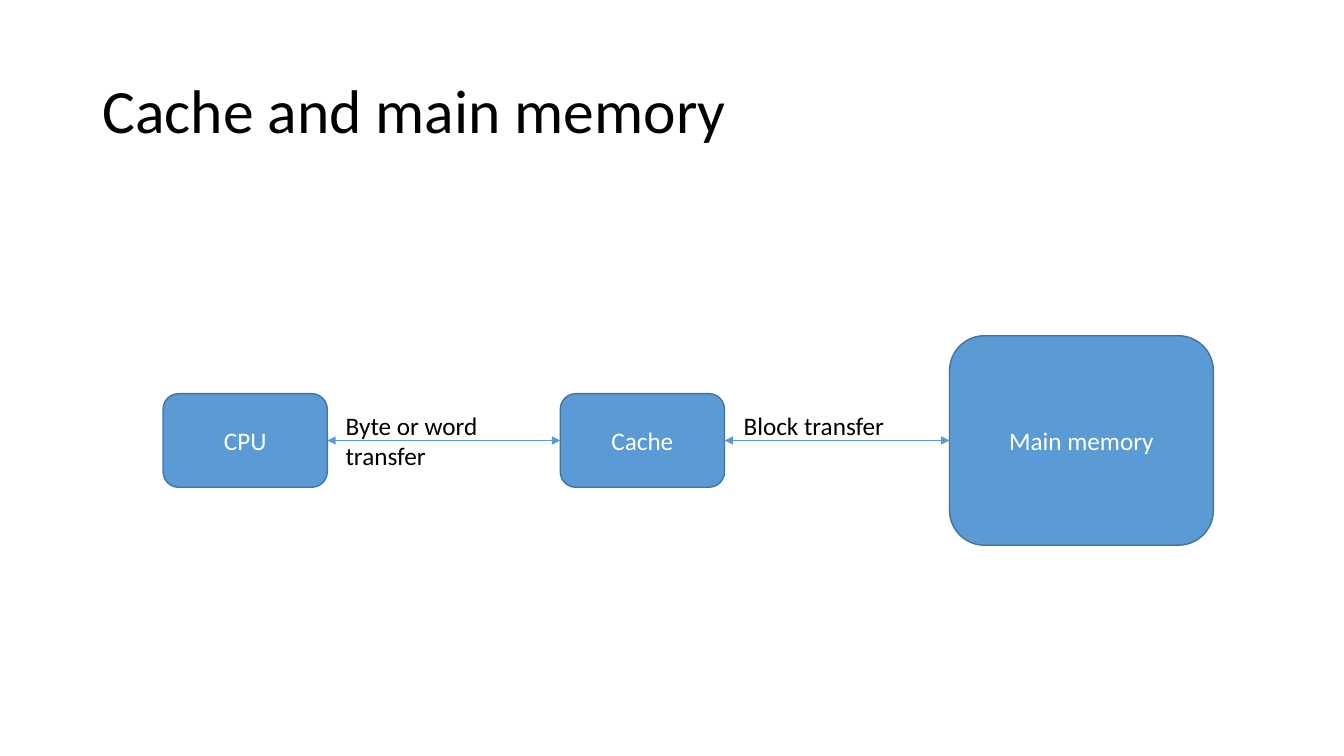
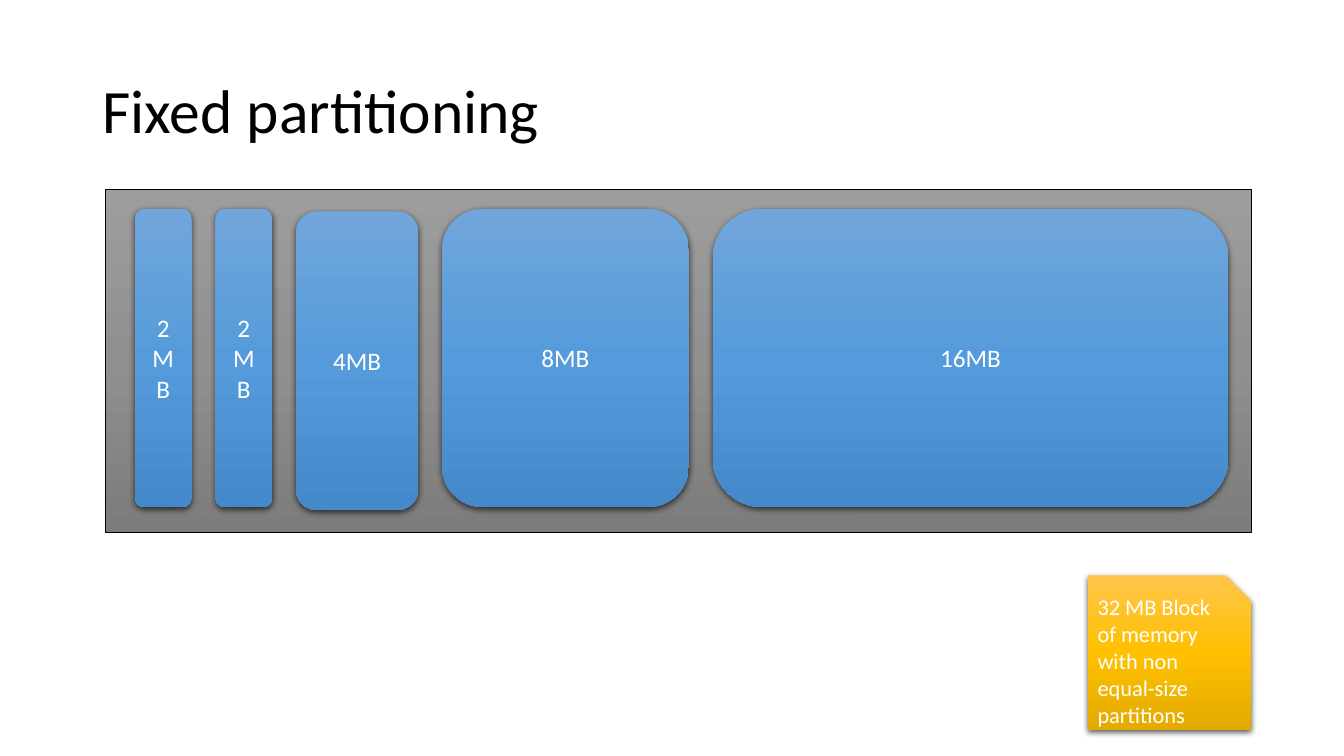
"""Build two slides on memory: cache transfers and fixed partitioning."""
import copy

import lxml.etree
import pptx
import pptx.dml.color
import pptx.enum.shapes
import pptx.enum.text
import pptx.oxml.ns
import pptx.util

Cm = pptx.util.Cm
Pt = pptx.util.Pt
SHAPE = pptx.enum.shapes.MSO_SHAPE
ALIGN = pptx.enum.text.PP_ALIGN
ANCHOR = pptx.enum.text.MSO_ANCHOR
qn = pptx.oxml.ns.qn

FONT = "Calibri"
COLORS = {
    "text": "000000",
    "light": "FFFFFF",
    "blue": "5B9BD5",
    "blue_edge": "43739E",
    "panel_edge": "000000",
    "shadow": "000000",
}
GRADIENTS = {
    "gray": ("9D9D9D", "909090", "7C7C7C"),
    "blue": ("71A6DB", "559BDB", "448ACA"),
    "gold": ("FFC64B", "FFC000", "E3AB00"),
}


def rgb(value):
    return pptx.dml.color.RGBColor.from_string(value)


def write(shape, text, *, size=18, color="text", align=ALIGN.LEFT,
          anchor=ANCHOR.MIDDLE, spacing=None):
    frame = shape.text_frame
    frame.word_wrap = True
    frame.vertical_anchor = anchor
    paragraph = frame.paragraphs[0]
    paragraph.alignment = align
    paragraph.line_spacing = spacing
    run = paragraph.add_run()
    run.text = text
    run.font.name = FONT
    run.font.size = Pt(size)
    run.font.color.rgb = rgb(COLORS[color])


def add_titled_slide(deck, text):
    slide = deck.slides.add_slide(deck.slide_layouts[5])
    title = slide.shapes.title
    title.left, title.top = Cm(2.33), Cm(1.01)
    title.width, title.height = Cm(29.21), Cm(3.68)
    write(title, text, size=44, spacing=0.9)
    return slide


def add_box(slide, kind, left, top, width, height):
    box = slide.shapes.add_shape(kind, Cm(left), Cm(top), Cm(width), Cm(height))
    box.shadow.inherit = False
    return box


def set_outline(shape, color, width):
    shape.line.color.rgb = rgb(COLORS[color])
    shape.line.width = Pt(width)


def set_gradient(shape, name):
    shape.fill.gradient()
    shape.fill.gradient_angle = 270
    stop_list = shape.element.spPr.find(qn("a:gradFill")).find(qn("a:gsLst"))
    stop_list.insert(1, copy.deepcopy(stop_list[0]))
    for stop, position, color in zip(shape.fill.gradient_stops, (0, 0.5, 1), GRADIENTS[name]):
        stop.position = position
        stop.color.rgb = rgb(color)


def add_shadow(shape):
    effects = shape.element.spPr.find(qn("a:effectLst"))
    shadow = lxml.etree.SubElement(
        effects, qn("a:outerShdw"), blurRad=str(Pt(4.5)), dist=str(Pt(1.5)),
        dir="5400000", algn="ctr", rotWithShape="0")
    color = lxml.etree.SubElement(shadow, qn("a:srgbClr"), val=COLORS["shadow"])
    lxml.etree.SubElement(color, qn("a:alpha"), val="63000")


def add_raised_box(slide, kind, left, top, width, height, gradient):
    box = add_box(slide, kind, left, top, width, height)
    set_gradient(box, gradient)
    box.line.fill.background()
    add_shadow(box)
    return box


def add_unit(slide, text, left, middle, width, height):
    unit = add_box(slide, SHAPE.ROUNDED_RECTANGLE, left, middle - height / 2, width, height)
    unit.fill.solid()
    unit.fill.fore_color.rgb = rgb(COLORS["blue"])
    set_outline(unit, "blue_edge", 1)
    write(unit, text, color="light", align=ALIGN.CENTER)
    return unit


def add_transfer_arrow(slide, source, target):
    arrow = slide.shapes.add_connector(pptx.enum.shapes.MSO_CONNECTOR.STRAIGHT, 0, 0, 0, 0)
    arrow.begin_connect(source, 3)
    arrow.end_connect(target, 1)
    set_outline(arrow, "blue", 0.5)
    properties = arrow.element.spPr
    for end in ("a:headEnd", "a:tailEnd"):
        lxml.etree.SubElement(properties.find(qn("a:ln")), qn(end), type="triangle")
    lxml.etree.SubElement(properties, qn("a:effectLst"))


def add_label(slide, text, left, top, width, height):
    label = slide.shapes.add_textbox(Cm(left), Cm(top), Cm(width), Cm(height))
    label.text_frame.auto_size = pptx.enum.text.MSO_AUTO_SIZE.SHAPE_TO_FIT_TEXT
    write(label, text, anchor=ANCHOR.TOP)


def build_cache_slide(deck):
    slide = add_titled_slide(deck, "Cache and main memory")
    middle = 11.1
    cpu = add_unit(slide, "CPU", 4.11, middle, 4.14, 2.36)
    cache = add_unit(slide, "Cache", 14.12, middle, 4.14, 2.36)
    memory = add_unit(slide, "Main memory", 23.93, middle, 6.65, 5.28)
    add_transfer_arrow(slide, cpu, cache)
    add_transfer_arrow(slide, cache, memory)
    add_label(slide, "Byte or word transfer", 8.46, 10.21, 5.66, 1.8)
    add_label(slide, "Block transfer", 18.49, 10.21, 5.66, 1.03)


def build_partition_slide(deck):
    slide = add_titled_slide(deck, "Fixed partitioning")
    block = add_box(slide, SHAPE.RECTANGLE, 2.65, 4.78, 28.88, 8.64)
    set_gradient(block, "gray")
    set_outline(block, "panel_edge", 0.5)

    left, gap = 3.4, 0.6
    partitions = (("2MB", 1.43, 5.26), ("2MB", 1.43, 5.26), ("4MB", 3.08, 5.33),
                  ("8MB", 6.22, 5.26), ("16MB", 13, 5.26))
    for capacity, width, top in partitions:
        partition = add_raised_box(
            slide, SHAPE.ROUNDED_RECTANGLE, left, top, width, 7.52, "blue")
        write(partition, capacity, color="light", align=ALIGN.CENTER)
        left += width + gap

    note = add_raised_box(slide, SHAPE.SNIP_1_RECTANGLE, 27.41, 14.5, 4.12, 3.89, "gold")
    write(note, "32 MB Block of memory with non equal-size partitions",
          size=16, color="light", anchor=ANCHOR.TOP)


def main():
    deck = pptx.Presentation()
    deck.slide_width, deck.slide_height = Cm(33.87), Cm(19.05)
    build_cache_slide(deck)
    build_partition_slide(deck)
    deck.save("out.pptx")


if __name__ == "__main__":
    main()
